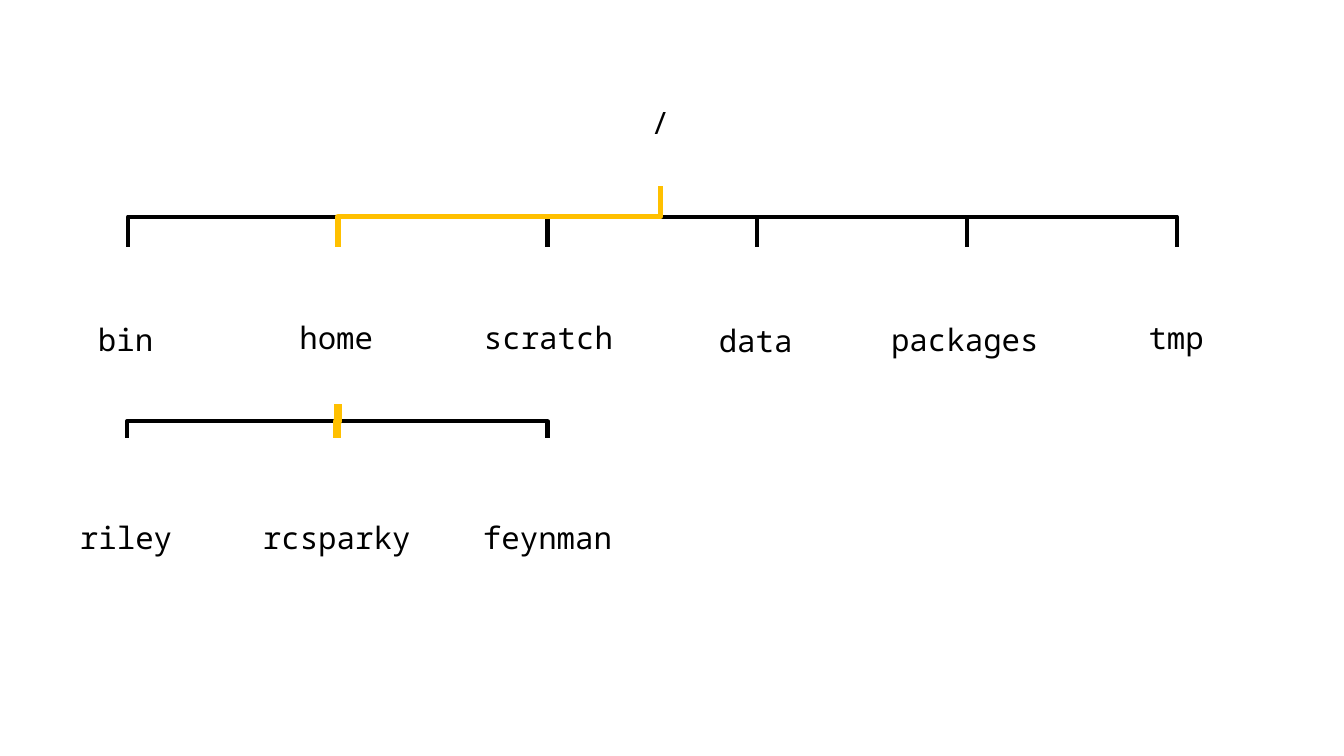
from lxml.etree import SubElement
from pptx import Presentation
from pptx.dml.color import RGBColor
from pptx.enum.shapes import MSO_CONNECTOR
from pptx.enum.text import MSO_AUTO_SIZE, PP_ALIGN
from pptx.oxml.ns import qn
from pptx.util import Inches, Pt

COLORS = {"text": "000000", "branch": "000000", "highlight": "FFC000"}


class TreeSlide:
    label_font = {"name": "Noto Sans Mono", "size": Pt(22)}
    label_height = 0.47

    def __init__(self, presentation):
        self.slide = presentation.slides.add_slide(presentation.slide_layouts[6])

    def label(self, name, left, top, width):
        box = self.slide.shapes.add_textbox(
            Inches(left), Inches(top), Inches(width), Inches(self.label_height))
        frame = box.text_frame
        frame.word_wrap = True
        frame.auto_size = MSO_AUTO_SIZE.SHAPE_TO_FIT_TEXT
        paragraph = frame.paragraphs[0]
        paragraph.alignment = PP_ALIGN.CENTER
        run = paragraph.add_run()
        run.text = name
        for attribute, value in self.label_font.items():
            setattr(run.font, attribute, value)
        run.font.color.rgb = RGBColor.from_string(COLORS["text"])

    def branch(self, parent, child, color="branch", weight=3):
        """Elbow that leaves the parent downwards and enters the child from above."""
        (x1, y1), (x2, y2) = parent, child
        center_x, center_y = (x1 + x2) / 2, (y1 + y2) / 2
        half_drop, half_span = (y2 - y1) / 2, abs(x2 - x1) / 2
        side = 1 if x2 < x1 else -1
        # Laid out sideways, then turned a quarter about its centre
        elbow = self.slide.shapes.add_connector(
            MSO_CONNECTOR.ELBOW,
            Inches(center_x - side * half_drop), Inches(center_y - half_span),
            Inches(center_x + side * half_drop), Inches(center_y + half_span))
        properties = elbow._element.spPr
        quarter_turn = 90 if side > 0 else 270
        properties.find(qn("a:xfrm")).set("rot", str(quarter_turn * 60000))
        elbow.line.color.rgb = RGBColor.from_string(COLORS[color])
        elbow.line.width = Pt(weight)
        SubElement(properties, qn("a:effectLst"))


def main():
    presentation = Presentation()
    presentation.slide_width = Inches(13.33)
    presentation.slide_height = Inches(7.5)
    tree = TreeSlide(presentation)

    # Directory names: root, top level, home directories
    for directory in [
        ("/", 6.35, 0.98, 0.4),
        ("bin", 0.37, 3.13, 1.75),
        ("home", 2.46, 3.11, 1.75),
        ("scratch", 4.6, 3.11, 1.68),
        ("data", 6.65, 3.14, 1.69),
        ("packages", 8.68, 3.13, 1.78),
        ("tmp", 10.79, 3.11, 1.75),
        ("riley", 0.39, 5.1, 1.72),
        ("rcsparky", 2.46, 5.1, 1.76),
        ("feynman", 4.59, 5.1, 1.68),
    ]:
        tree.label(*directory)

    # Branches from the root, the path to home on top
    root = (6.55, 1.85)
    columns = [1.27 + 2.08 * index for index in range(6)]
    home_column = columns[1]
    for column in columns:
        if column != home_column:
            tree.branch(root, (column, 2.45))
    tree.branch(root, (home_column, 2.45), "highlight", 4)

    # Branches from home, the path to rcsparky on top
    home = (home_column, 4.01)
    for column in (1.26, 5.43):
        tree.branch(home, (column, 4.35))
    tree.branch(home, (3.34, 4.35), "highlight", 6)

    presentation.save("out.pptx")


if __name__ == "__main__":
    main()
